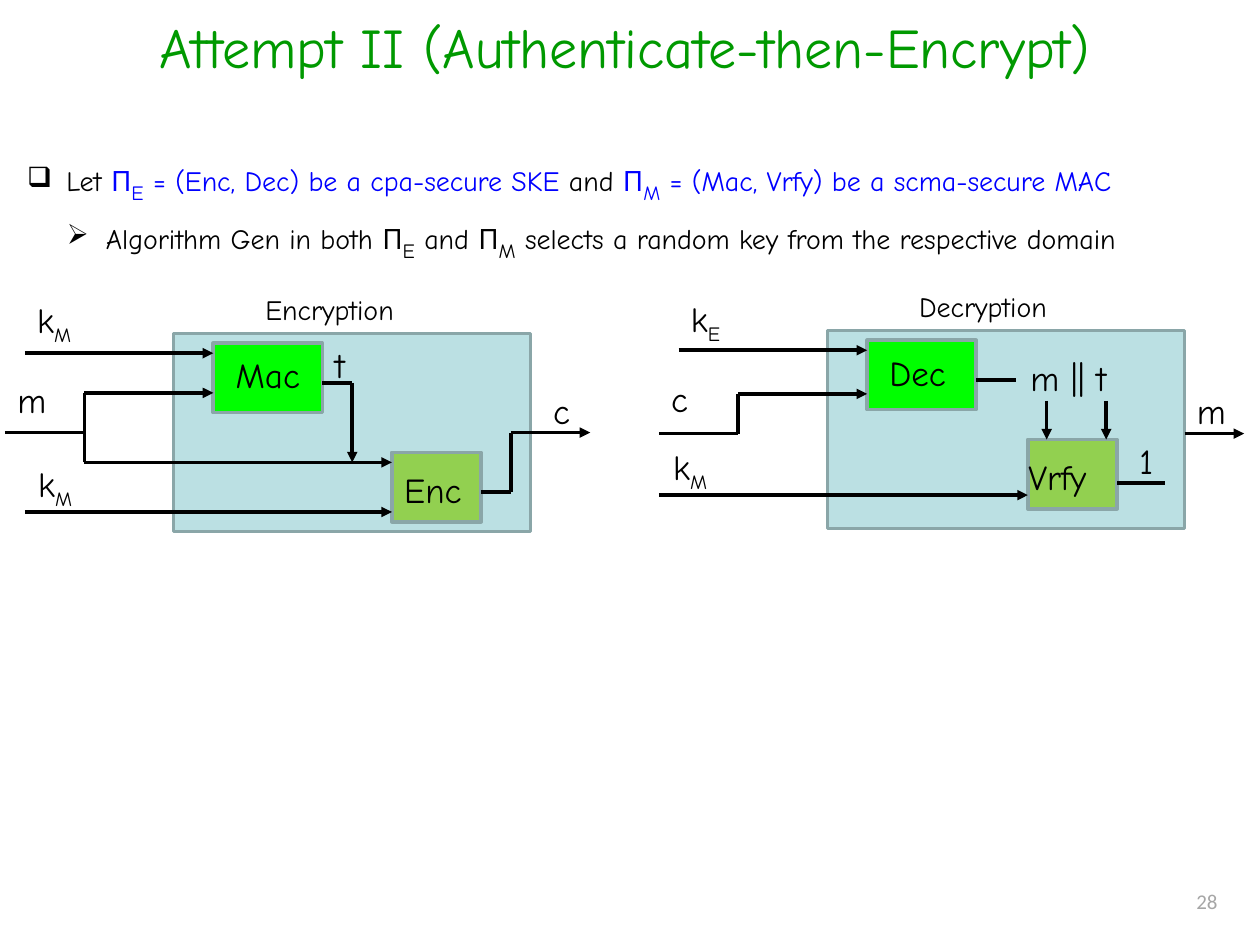
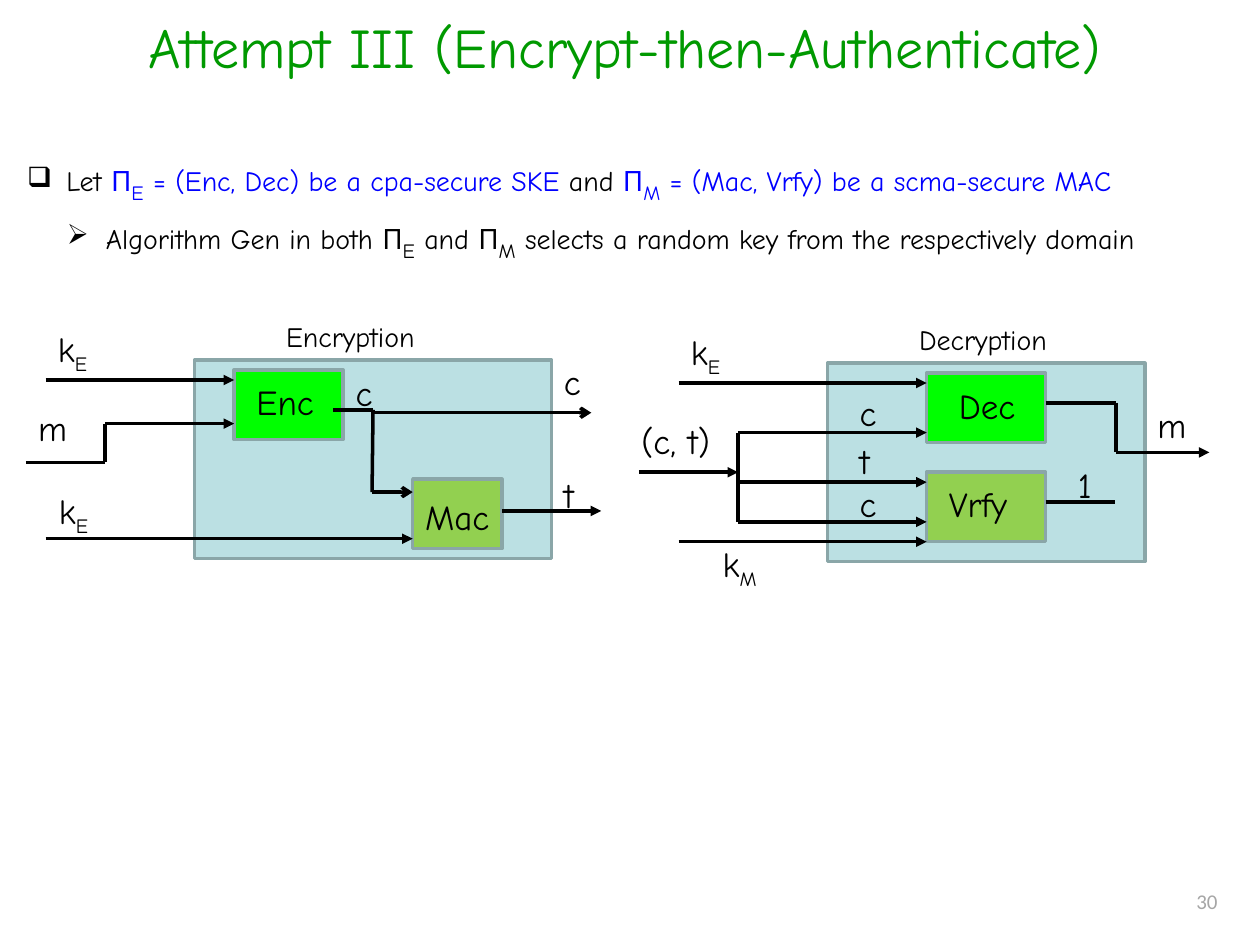
"""Build two slides that compare ways of combining encryption and authentication."""
from itertools import pairwise

from lxml.etree import SubElement
from pptx import Presentation
from pptx.dml.color import RGBColor
from pptx.enum.shapes import MSO_CONNECTOR, MSO_SHAPE
from pptx.enum.text import MSO_ANCHOR, MSO_AUTO_SIZE, PP_ALIGN
from pptx.oxml.ns import qn
from pptx.util import Inches, Pt

BLACK, BLUE, GREEN, GREY = "000000", "0000FF", "009900", "A6A6A6"
PANEL, EDGE, LIME, OLIVE = "BBE0E3", "8AA6A8", "00FF00", "92D050"
FONT = "Comic Neue"
SUBSCRIPT_SIZE = 20

deck = Presentation()
deck.slide_width, deck.slide_height = Inches(10), Inches(7.5)
CELL = deck.slide_width / 127
SIDE, LETTER, KEY, WORD, PAIR = 20, 5.8, 9, 13, 15
LABEL_HEIGHT, LINE_HEIGHT = 5.6, 4.7


def cells(*lengths):
    """Turn grid cells into slide lengths."""
    return [round(length * CELL) for length in lengths]


def add_text(page, area, spans, size, bullet=None):
    """Add a text box with a hanging indent; an underscore lowers the next letter."""
    box = page.shapes.add_textbox(*cells(*area))
    box.text_frame.word_wrap = True
    para = box.text_frame.paragraphs[0]
    properties = para._p.get_or_add_pPr()
    properties.set("marL", str(Inches(0.31)))
    properties.set("indent", str(-Inches(0.31)))
    spacing = SubElement(properties, qn("a:spcBef"))
    SubElement(spacing, qn("a:spcPct")).set("val", "50000")
    if bullet:
        SubElement(properties, qn("a:buChar")).set("char", bullet)
    for text, colour in spans:
        first, *rest = text.split("_")
        pieces = [(first, False)]
        for part in rest:
            pieces += [(part[0], True), (part[1:], False)]
        for piece, lowered in pieces:
            if piece:
                span = para.add_run()
                span.text = piece
                span.font.name = FONT
                span.font.size = Pt(SUBSCRIPT_SIZE if lowered else size)
                span.font.color.rgb = RGBColor.from_string(colour)
                if lowered:
                    span._r.get_or_add_rPr().set("baseline", "-25000")


mac_then_enc = {
    "caption": "Encryption", "origin": (17.5, 33.6), "width": 36,
    "blocks": [(4, 1, 11, LIME), (22, 12, 9, OLIVE)],
    "wires": [
        ("triangle", [(-15, 2), (4, 2)]),
        ("triangle", [(-9, 13), (-9, 6), (4, 6)]),
        ("triangle", [(-9, 13), (22, 13)]),
        (None, [(-17, 10), (-9, 10)]),
        ("triangle", [(-15, 18), (22, 18)]),
        ("triangle", [(15, 5), (18, 5), (18, 13)]),
        (None, [(31, 16), (34, 16), (34, 10), (36, 10)]),
        ("triangle", [(36, 10), (42, 10)]),
    ],
    "labels": [
        ("k_M", -15, -4.1, KEY), ("m", -17, 3.9, LETTER), ("k_M", -14.9, 12.4, KEY),
        ("Mac", 5, 1.4, WORD), ("t", 15, 0.4, LETTER),
        ("Enc", 22, 13, WORD), ("c", 37, 5, LETTER),
    ],
}
dec_then_vrfy = {
    "caption": "Decryption", "origin": (83.4, 33.3), "width": 36,
    "blocks": [(4, 1, 11, LIME), (20.2, 11, 9, OLIVE)],
    "wires": [
        ("triangle", [(-15, 2), (4, 2)]),
        ("triangle", [(-17, 10.4), (-9, 10.4), (-9, 6.4), (4, 6.4)]),
        ("triangle", [(-17, 16.6), (20.2, 16.6)]),
        (None, [(15, 5), (19, 5)]),
        ("triangle", [(22.1, 7.1), (22.1, 11)]),
        ("triangle", [(28.1, 7.1), (28.1, 11)]),
        (None, [(29.2, 15.4), (34, 15.4)]),
        ("triangle", [(36, 10.4), (42, 10.4)]),
    ],
    "labels": [
        ("k_E", -15, -3.9, KEY), ("c", -17, 4.1, LETTER), ("k_M", -16.8, 11, KEY),
        ("Dec", 5, 1.5, WORD), ("m || t", 19.2, 2, PAIR),
        ("Vrfy", 19, 12, WORD), ("1", 30.2, 10.4, LETTER), ("m", 36, 5.3, WORD),
    ],
}
enc_then_mac = {
    "caption": "Encryption", "origin": (19.6, 36.3), "width": 36,
    "blocks": [(4, 1, 11, LIME), (22, 12, 9, OLIVE)],
    "wires": [
        ("triangle", [(-15, 2), (4, 2)]),
        ("triangle", [(-17, 10.3), (-9, 10.3), (-9, 6.4), (4, 6.4)]),
        ("triangle", [(-15, 18), (22, 18)]),
        ("arrow", [(14, 5), (18, 5), (17.9, 13.3), (22, 13.3)]),
        ("arrow", [(17.9, 5.3), (40, 5.3)]),
        ("triangle", [(31, 15.2), (41, 15.2)]),
    ],
    "labels": [
        ("k_E", -15, -3.9, KEY), ("m", -17, 4.1, LETTER), ("k_E", -14.9, 12.4, KEY),
        ("Enc", 5, 1.4, WORD), ("c", 15, 0.5, LETTER), ("Mac", 22, 13, WORD),
        ("c", 36, -0.6, LETTER), ("t", 36, 10.8, LETTER),
    ],
}
vrfy_and_dec = {
    "caption": "Decryption", "origin": (83.4, 36.6), "width": 32,
    "blocks": [(10, 1, 12, LIME), (10, 11, 12, OLIVE)],
    "wires": [
        ("triangle", [(-15, 2), (10, 2)]),
        ("triangle", [(-19, 11), (-9, 11)]),
        ("triangle", [(-9, 16), (-9, 7), (10, 7)]),
        ("triangle", [(-9, 12), (10, 12)]),
        ("triangle", [(-9, 16), (10, 16)]),
        ("triangle", [(-15, 18), (10, 18)]),
        (None, [(22, 14), (29, 14)]),
        ("triangle", [(22, 4), (29.1, 4), (29.1, 9), (38.5, 9)]),
    ],
    "labels": [
        ("k_E", -15, -3.9, KEY), ("(c, t)", -20, 5.1, 14), ("k_M", -11.8, 17.5, KEY),
        ("c", 2, 2.2, LETTER), ("t", 2, 7.1, LETTER), ("c", 2, 11.4, LETTER),
        ("Dec", 12, 1.5, WORD), ("Vrfy", 11, 11.4, WORD),
        ("1", 24, 9.5, LETTER), ("m", 32, 3.4, WORD),
    ],
}
slides = [
    ("Attempt II (Authenticate-then-Encrypt)", "respective", "28",
     [mac_then_enc, dec_then_vrfy]),
    ("Attempt III (Encrypt-then-Authenticate)", "respectively", "30",
     [enc_then_mac, vrfy_and_dec]),
]
schemes = [
    ("Let ", BLACK),
    ("Π_E = (Enc, Dec) be a cpa-secure SKE ", BLUE),
    ("and ", BLACK),
    ("Π_M = (Mac, Vrfy) be a scma-secure MAC", BLUE),
]

for heading, adjective, number, panels in slides:
    page = deck.slides.add_slide(deck.slide_layouts[5])
    title = page.shapes.title
    title.left, title.top, title.width, title.height = cells(2.5, 0.6, 121, 7)
    title.text_frame.text = heading
    title.text_frame.auto_size = MSO_AUTO_SIZE.NONE
    title.text_frame.vertical_anchor = MSO_ANCHOR.TOP
    footer = page.shapes.add_textbox(*cells(118.1, 88.9, 7.1, 3.7))
    footer.text_frame.text = number
    for box, font_name, size, colour in [(title, FONT, 32, GREEN), (footer, "Calibri", 12, GREY)]:
        para = box.text_frame.paragraphs[0]
        para.alignment = PP_ALIGN.CENTER
        font = para.runs[0].font
        font.name, font.size = font_name, Pt(size)
        font.color.rgb = RGBColor.from_string(colour)

    key_choice = f"Algorithm Gen in both Π_E and Π_M selects a random key from the {adjective} domain"
    add_text(page, (1.5, 15.2, 123, LINE_HEIGHT), schemes, 16, "❑")
    add_text(page, (5.5, 21, 119, LINE_HEIGHT), [(key_choice, BLACK)], 16, "➢")

    for panel in panels:
        left, top = panel["origin"]
        width = panel["width"]
        rectangles = [(0, 0, width, SIDE, PANEL)]
        rectangles += [(x, y, span, 7, fill) for x, y, span, fill in panel["blocks"]]
        drawn = []
        for x, y, across, down, fill in rectangles:
            box = page.shapes.add_shape(
                MSO_SHAPE.RECTANGLE, *cells(left + x, top + y, across, down))
            box.shadow.inherit = False
            box.fill.solid()
            box.fill.fore_color.rgb = RGBColor.from_string(fill)
            box.line.color.rgb = RGBColor.from_string(EDGE)
            box.line.width = Pt(2)
            drawn.append(box)

        for head, points in panel["wires"]:
            for (x1, y1), (x2, y2) in pairwise(points):
                wire = page.shapes.add_connector(
                    MSO_CONNECTOR.STRAIGHT, *cells(left + x1, top + y1, left + x2, top + y2))
                wire.line.color.rgb = RGBColor.from_string(BLACK)
                wire.line.width = Pt(2)
                if head and (x2, y2) == points[-1]:
                    SubElement(wire.line._get_or_add_ln(), qn("a:tailEnd")).set("type", head)
                SubElement(wire._element.spPr, qn("a:effectLst"))
                if (x1, y1) == (width, SIDE / 2):
                    wire.begin_connect(drawn[0], 3)
                if (x2, y2) == (width, SIDE / 2):
                    wire.end_connect(drawn[0], 3)

        add_text(page, (left + 8, top - 4.7, 18, LINE_HEIGHT), [(panel["caption"], BLACK)], 16)
        for text, x, y, across in panel["labels"]:
            add_text(page, (left + x, top + y, across, LABEL_HEIGHT), [(text, BLACK)], 20)

deck.save("out.pptx")
